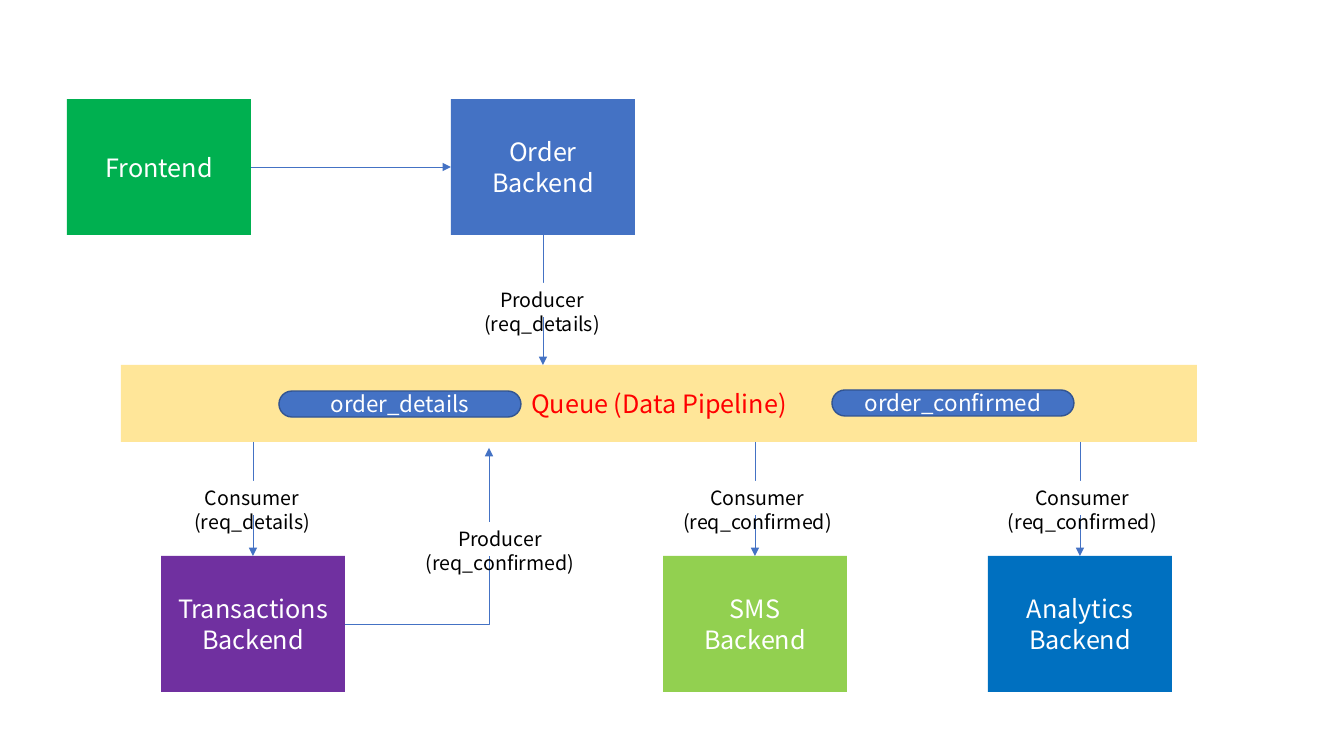
from lxml.etree import SubElement
from pptx import Presentation
from pptx.dml.color import RGBColor
from pptx.enum.shapes import MSO_CONNECTOR as CONN, MSO_SHAPE as SHAPE
from pptx.enum.text import MSO_ANCHOR as ANCHOR, PP_ALIGN as ALIGN
from pptx.oxml.ns import qn
from pptx.util import Pt

SCALE = 914400 / 100.8
FONT = "Noto Sans CJK KR"
WHITE = RGBColor(0xFF, 0xFF, 0xFF)
BLACK = RGBColor(0x00, 0x00, 0x00)
RED = RGBColor(0xFF, 0x00, 0x00)
GREEN = RGBColor(0x00, 0xB0, 0x50)
LIME = RGBColor(0x92, 0xD0, 0x50)
BLUE = RGBColor(0x44, 0x72, 0xC4)
DARK_BLUE = RGBColor(0x32, 0x54, 0x91)
AZURE = RGBColor(0x00, 0x70, 0xC0)
PURPLE = RGBColor(0x70, 0x30, 0xA0)
SAND = RGBColor(0xFF, 0xE6, 0x99)

BOX_W, BOX_H = 184, 136
TOP_ROW, BOTTOM_ROW = 99, 556
PIPE_TOP, PIPE_H = 365, 77
LABEL_H = 34
PILL_W, PILL_H = 242, 26
TOP, LEFT, BOTTOM, RIGHT = range(4)


def px(n):
    return round(n * SCALE)


class Diagram:
    def __init__(self, slide):
        self.shapes = slide.shapes

    def shape(self, text, x, y, w, h, fill, size=18, color=WHITE, kind=SHAPE.RECTANGLE):
        sp = self.shapes.add_shape(kind, px(x), px(y), px(w), px(h))
        sp.shadow.inherit = False
        sp.fill.solid()
        sp.fill.fore_color.rgb = fill
        sp.line.fill.background()
        tf = sp.text_frame
        tf.text = text
        tf.word_wrap = True
        tf.vertical_anchor = ANCHOR.MIDDLE
        for p in tf.paragraphs:
            p.alignment = ALIGN.CENTER
            for r in p.runs:
                r.font.name = FONT
                r.font.size = Pt(size)
                r.font.color.rgb = color
        return sp

    def box(self, text, x, y, fill):
        return self.shape(text, x, y, BOX_W, BOX_H, fill)

    def label(self, role, topic, x, y, w):
        sp = self.shape(f"{role}\v({topic})", x, y, w, LABEL_H, WHITE, 14, BLACK)
        sp.text_frame.word_wrap = False
        sp.text_frame.vertical_anchor = ANCHOR.TOP

    def pill(self, text, x, y):
        sp = self.shape(text, x, y, PILL_W, PILL_H, BLUE, 16, kind=SHAPE.ROUNDED_RECTANGLE)
        sp.adjustments[0] = 0.5
        sp.line.color.rgb = DARK_BLUE
        sp.line.width = Pt(1)

    def arrow(self, x1, y1, x2, y2, kind=CONN.STRAIGHT):
        cx = self.shapes.add_connector(kind, px(x1), px(y1), px(x2), px(y2))
        cx.line.color.rgb = BLUE
        cx.line.width = Pt(0.5)
        ln = cx.line._get_or_add_ln()
        SubElement(ln, qn("a:tailEnd"), type="triangle")
        SubElement(cx._element.spPr, qn("a:effectLst"))
        return cx

    def corner_arrow(self, x1, y1, x2, y2):
        cx = self.arrow(x1, y1, x2, y2, CONN.ELBOW)
        cx._element.spPr.find(qn("a:prstGeom")).set("prst", "bentConnector2")


prs = Presentation()
prs.slide_width, prs.slide_height = px(1344), px(756)
d = Diagram(prs.slides.add_slide(prs.slide_layouts[6]))

d.shape("Queue (Data Pipeline)", 121, PIPE_TOP, 1076, PIPE_H, SAND, color=RED)

frontend = d.box("Frontend", 67, TOP_ROW, GREEN)
order = d.box("Order\nBackend", 451, TOP_ROW, BLUE)
row_mid = TOP_ROW + BOX_H / 2
request = d.arrow(67 + BOX_W, row_mid, 451, row_mid)
request.begin_connect(frontend, RIGHT)
request.end_connect(order, LEFT)

order_mid = 451 + BOX_W / 2
publish = d.arrow(order_mid, TOP_ROW + BOX_H, order_mid, PIPE_TOP)
publish.begin_connect(order, BOTTOM)
d.label("Producer", "req_details", 434, 283, 216)

consumers = [
    ("Transactions", 161, PURPLE, "req_details", 139, 226),
    ("SMS", 663, LIME, "req_confirmed", 628, 259),
    ("Analytics", 988, AZURE, "req_confirmed", 953, 259),
]
for name, x, fill, topic, label_x, label_w in consumers:
    backend = d.box(f"{name}\nBackend", x, BOTTOM_ROW, fill)
    mid = x + BOX_W / 2
    consume = d.arrow(mid, PIPE_TOP + PIPE_H, mid, BOTTOM_ROW)
    consume.end_connect(backend, TOP)
    d.label("Consumer", topic, label_x, 481, label_w)

d.corner_arrow(161 + BOX_W, BOTTOM_ROW + BOX_H / 2, 489, 448)
d.label("Producer", "req_confirmed", 376, 522, 248)

d.pill("order_confirmed", 832, 390)
d.pill("order_details", 279, 391)

prs.save("out.pptx")
